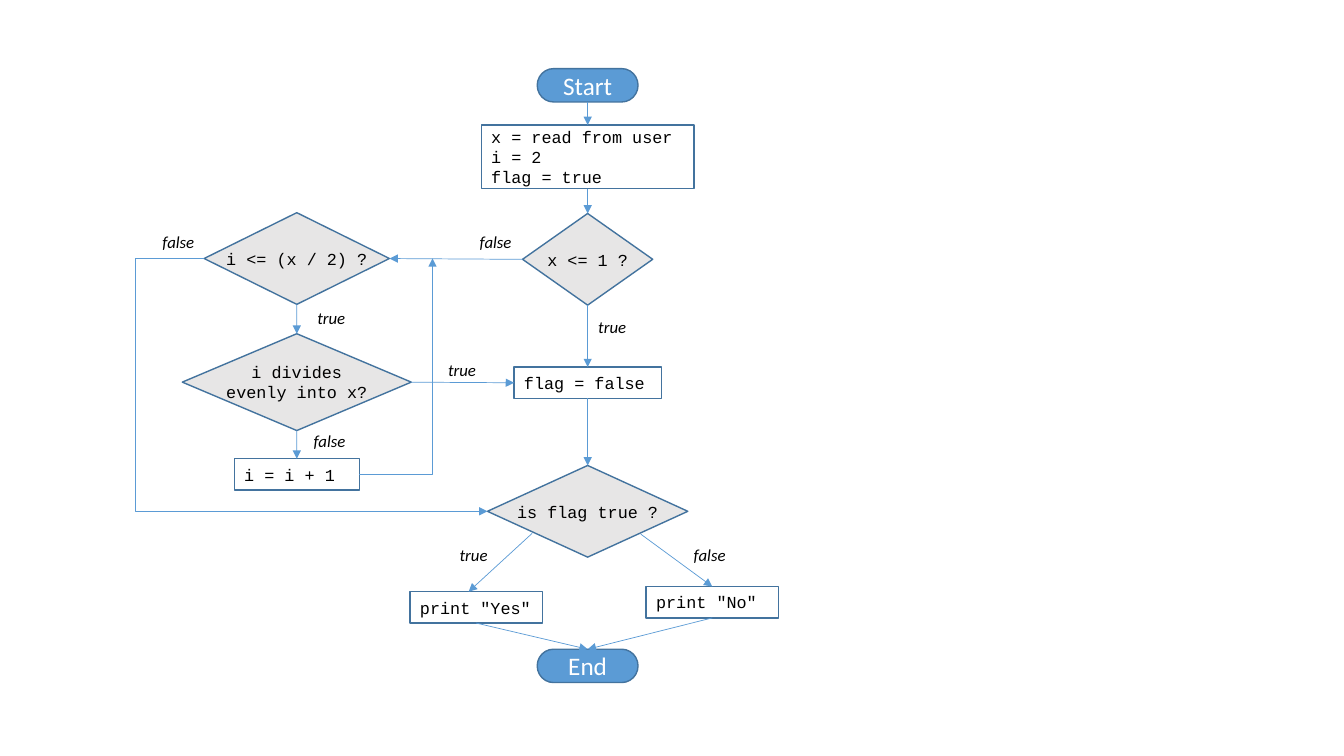
from lxml import etree
from pptx import Presentation
from pptx.dml.color import RGBColor
from pptx.enum.shapes import MSO_CONNECTOR, MSO_SHAPE
from pptx.enum.text import MSO_ANCHOR, MSO_AUTO_SIZE, PP_ALIGN
from pptx.oxml.ns import qn
from pptx.util import Cm, Pt

TERMINATOR = MSO_SHAPE.FLOWCHART_TERMINATOR
PROCESS = MSO_SHAPE.FLOWCHART_PROCESS
DECISION = MSO_SHAPE.FLOWCHART_DECISION
STRAIGHT, ELBOW = MSO_CONNECTOR.STRAIGHT, MSO_CONNECTOR.ELBOW
LEFT, CENTER = PP_ALIGN.LEFT, PP_ALIGN.CENTER
MIDDLE = MSO_ANCHOR.MIDDLE
FIT_SHAPE = MSO_AUTO_SIZE.SHAPE_TO_FIT_TEXT
TOP_SIDE, LEFT_SIDE, BOTTOM_SIDE, RIGHT_SIDE = range(4)

COLORS = {"blue": "5B9BD5", "outline": "43739E", "gray": "E7E6E6",
          "white": "FFFFFF", "black": "000000"}

# kind: fill, font, size, text colour, alignment, wrap
STYLES = {
    TERMINATOR: ("blue", "Calibri", 18, "white", CENTER, True),
    PROCESS: (None, "Courier New", 12, "black", LEFT, False),
    DECISION: ("gray", "Courier New", 12, "black", CENTER, False),
}

# Column centres and common heights, in cm
MAIN, LOOP, YES, NO = 14.81, 7.48, 12.0, 17.95
PILL_H, BOX_H, DIAMOND_H, LABEL_H = 0.84, 0.79, 2.31, 0.76

# name: kind, text, centre x, top, width, height
NODES = {
    "start": (TERMINATOR, "Start", MAIN, 1.73, 2.54, PILL_H),
    "end": (TERMINATOR, "End", MAIN, 16.36, 2.54, PILL_H),
    "read": (PROCESS, "x = read from user\ni = 2\nflag = true",
             MAIN, 3.15, 5.36, 1.6),
    "small": (DECISION, "x <= 1 ?", MAIN, 5.38, 3.28, DIAMOND_H),
    "limit": (DECISION, "i <= (x / 2) ?", LOOP, 5.36, 4.67, DIAMOND_H),
    "divides": (DECISION, "i divides\nevenly into x?", LOOP, 8.41, 5.77, 2.44),
    "check": (DECISION, "is flag true ?", MAIN, 11.73, 5.05, DIAMOND_H),
    "next": (PROCESS, "i = i + 1", LOOP, 11.56, 3.15, BOX_H),
    "no": (PROCESS, 'print "No"', NO, 14.78, 3.33, BOX_H),
    "clear": (PROCESS, "flag = false", MAIN, 9.25, 3.71, BOX_H),
    "yes": (PROCESS, 'print "Yes"', YES, 14.91, 3.33, BOX_H),
}

# Each end is (node name, side) or a free point (x, y) in cm
STRAIGHT_ARROWS = [
    (("start", BOTTOM_SIDE), ("read", TOP_SIDE)),
    (("read", BOTTOM_SIDE), ("small", TOP_SIDE)),
    (("small", LEFT_SIDE), ("limit", RIGHT_SIDE)),
    (("small", BOTTOM_SIDE), ("clear", TOP_SIDE)),
    (("limit", BOTTOM_SIDE), ("divides", TOP_SIDE)),
    (("divides", BOTTOM_SIDE), ("next", TOP_SIDE)),
    (("divides", RIGHT_SIDE), ("clear", LEFT_SIDE)),
    (("clear", BOTTOM_SIDE), ("check", TOP_SIDE)),
    ((16.15, 13.46), ("no", TOP_SIDE)),
    ((13.41, 13.44), (11.81, 14.91)),
    (("yes", BOTTOM_SIDE), ("end", TOP_SIDE)),
    (("no", BOTTOM_SIDE), ("end", TOP_SIDE)),
]

# start, end, preset, bend position
ELBOW_ARROWS = [
    (("limit", LEFT_SIDE), ("check", LEFT_SIDE), "bentConnector3", -24400),
    (("next", RIGHT_SIDE), (10.9, 6.51), "bentConnector2", None),
]

# text, left, top, width
LABELS = [
    ("true", 14.58, 7.85, 1.7),
    ("false", 11.73, 5.72, 1.52),
    ("true", 7.59, 7.62, 1.52),
    ("false", 3.63, 5.72, 1.73),
    ("true", 10.82, 8.94, 1.65),
    ("true", 11.15, 13.61, 1.57),
    ("false", 17.07, 13.61, 1.63),
    ("false", 7.44, 10.74, 1.73),
]


def rgb(name):
    return RGBColor.from_string(COLORS[name])


def write(tf, text, font, size, color, align, italic=False):
    tf.text = text
    for p in tf.paragraphs:
        p.alignment = align
        p.font.name, p.font.size, p.font.italic = font, Pt(size), italic
        p.font.color.rgb = rgb(color)


def add_node(s, kind, text, center, top, width, height):
    fill, font, size, color, align, wrap = STYLES[kind]
    sp = s.shapes.add_shape(kind, Cm(center - width / 2), Cm(top),
                            Cm(width), Cm(height))
    sp.shadow.inherit = False
    if fill:
        sp.fill.solid()
        sp.fill.fore_color.rgb = rgb(fill)
    else:
        sp.fill.background()
    sp.line.color.rgb, sp.line.width = rgb("outline"), Pt(1)
    tf = sp.text_frame
    tf.word_wrap, tf.vertical_anchor = wrap, MIDDLE
    write(tf, text, font, size, color, align)
    return sp


def add_arrow(s, nodes, kind, start, end):
    cxn = s.shapes.add_connector(kind, 0, 0, 0, 0)
    if start[0] in nodes:
        cxn.begin_connect(nodes[start[0]], start[1])
    else:
        cxn.begin_x, cxn.begin_y = Cm(start[0]), Cm(start[1])
    if end[0] in nodes:
        cxn.end_connect(nodes[end[0]], end[1])
    else:
        cxn.end_x, cxn.end_y = Cm(end[0]), Cm(end[1])
    cxn.line.color.rgb, cxn.line.width = rgb("blue"), Pt(0.5)
    sp_pr = cxn.element.spPr
    etree.SubElement(sp_pr.find(qn("a:ln")), qn("a:tailEnd"), type="triangle")
    etree.SubElement(sp_pr, qn("a:effectLst"))
    return cxn


def bend(cxn, preset, position):
    geom = cxn.element.spPr.find(qn("a:prstGeom"))
    geom.set("prst", preset)
    if position is not None:
        etree.SubElement(geom.find(qn("a:avLst")), qn("a:gd"),
                         name="adj1", fmla=f"val {position}")


def main():
    prs = Presentation()
    prs.slide_width, prs.slide_height = Cm(33.87), Cm(19.05)
    s = prs.slides.add_slide(prs.slide_layouts[6])

    # Flowchart steps
    nodes = {name: add_node(s, *node) for name, node in NODES.items()}

    # Arrows
    for start, end in STRAIGHT_ARROWS:
        add_arrow(s, nodes, STRAIGHT, start, end)
    for start, end, preset, position in ELBOW_ARROWS:
        bend(add_arrow(s, nodes, ELBOW, start, end), preset, position)

    # Branch labels
    for text, left, top, width in LABELS:
        tf = s.shapes.add_textbox(Cm(left), Cm(top), Cm(width),
                                  Cm(LABEL_H)).text_frame
        tf.word_wrap, tf.auto_size = True, FIT_SHAPE
        write(tf, text, "Calibri", 12, "black", CENTER, italic=True)

    prs.save("out.pptx")


if __name__ == "__main__":
    main()
